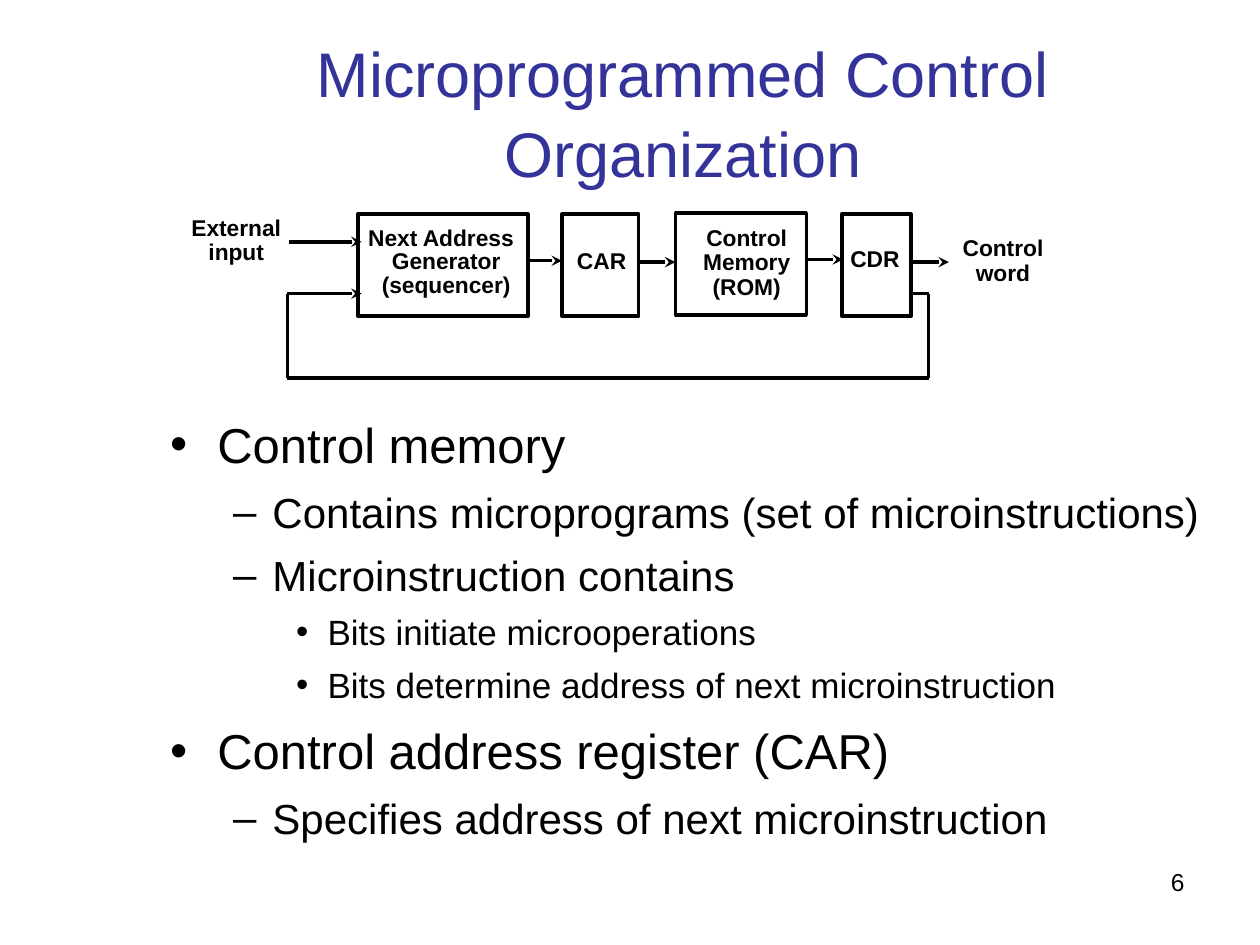
from lxml import etree
from pptx import Presentation
from pptx.dml.color import RGBColor
from pptx.enum.shapes import MSO_CONNECTOR as Connector, MSO_SHAPE as Shape
from pptx.enum.text import MSO_ANCHOR as Anchor, MSO_AUTO_SIZE as AutoSize, PP_ALIGN as Align
from pptx.oxml.ns import qn
from pptx.util import Pt

COLORS = {"ink": "000000", "title": "333399", "paper": "FFFFFF"}
FONT = "Arial"
# Per outline level: size, space before, left margin, hanging indent, bullet
LEVELS = [(28, 7, 27, 27, "•"), (24, 6, 58.5, 22.5, "–"), (20, 5, 90, 18, "•")]

OUTLINE = [
    (0, "Control memory"),
    (1, "Contains microprograms (set of microinstructions)"),
    (1, "Microinstruction contains"),
    (2, "Bits initiate microoperations"),
    (2, "Bits determine address of next microinstruction"),
    (0, "Control address register (CAR)"),
    (1, "Specifies address of next microinstruction"),
]
BLOCKS = [  # left, top, width, height
    (204.5, 122.4, 97.2, 58.3),
    (321.1, 122.4, 43.9, 58.3),
    (385.9, 121.7, 74.9, 58.3),
    (481, 122.4, 39.6, 58.3),
]
LABELS = [  # left, top, width, height, alignment, lines
    (102.2, 120.2, 65.5, 35.3, Align.CENTER, ["External", "input"]),
    (203, 126, 97.9, 20.9, Align.CENTER, ["Next Address"]),
    (211, 139, 87.8, 35.3, Align.CENTER, ["Generator", "(sequencer)"]),
    (322.6, 139, 42.5, 20.9, Align.LEFT, ["CAR"]),
    (394.6, 126, 64.1, 49, Align.CENTER, ["Control", "Memory", "(ROM)"]),
    (478.8, 138.2, 42.5, 20.9, Align.LEFT, ["CDR"]),
    (542.9, 131.8, 60.5, 35.3, Align.CENTER, ["Control", "word"]),
]
LOOP_LEFT, LOOP_RIGHT, LOOP_TOP, LOOP_BOTTOM = 164.2, 530.6, 167.8, 216
ARROWS = [  # from x, to x, y
    (164.9, 206.6, 138.2),
    (LOOP_LEFT, 206.6, LOOP_TOP),
    (301.7, 321.1, 149),
    (365, 385.9, 149.8),
    (460.8, 481.7, 148.3),
    (520.6, 542.2, 149.8),
]
LOOP_SIDES = [  # from x, from y, to x, to y, width
    (520.6, LOOP_TOP, LOOP_RIGHT, LOOP_TOP, 1.5),
    (LOOP_RIGHT, LOOP_TOP, LOOP_RIGHT, LOOP_BOTTOM, 1.5),
    (LOOP_LEFT, LOOP_BOTTOM, LOOP_RIGHT, LOOP_BOTTOM, 2),
    (LOOP_LEFT, LOOP_TOP, LOOP_LEFT, LOOP_BOTTOM, 1.5),
]


def rgb(key):
    """Return the named colour."""
    return RGBColor.from_string(COLORS[key])


def place(shape, left, top, width, height):
    """Move and size a shape, in points."""
    shape.left, shape.top = Pt(left), Pt(top)
    shape.width, shape.height = Pt(width), Pt(height)


def add_run(paragraph, text, size, color="ink", bold=False):
    """Append a formatted run."""
    run = paragraph.add_run()
    run.text = text
    font = run.font
    font.name, font.size, font.bold = FONT, Pt(size), bold
    font.color.rgb = rgb(color)


def next_paragraph(frame, index):
    """Return the first paragraph, or a new one after it."""
    return frame.add_paragraph() if index else frame.paragraphs[0]


def fill_title(title, text):
    """Place and write the slide title."""
    place(title, 84.2, 18, 612, 90)
    frame = title.text_frame
    frame.auto_size = AutoSize.NONE
    frame.vertical_anchor = Anchor.MIDDLE
    paragraph = frame.paragraphs[0]
    paragraph.alignment, paragraph.line_spacing = Align.CENTER, 1.06
    add_run(paragraph, text, 36, "title")


def set_bullet(paragraph, margin, hanging, mark):
    """Give a paragraph its bullet and hanging indent."""
    props = paragraph._p.get_or_add_pPr()
    props.set("marL", str(Pt(margin)))
    props.set("indent", str(-Pt(hanging)))
    color = etree.SubElement(props, qn("a:buClr"))
    etree.SubElement(color, qn("a:srgbClr")).set("val", COLORS["ink"])
    etree.SubElement(props, qn("a:buFont")).set("typeface", FONT)
    etree.SubElement(props, qn("a:buChar")).set("char", mark)


def fill_outline(body, items):
    """Write the bulleted list, leaving room for the diagram above it."""
    place(body, 90, 156.2, 612, 329.8)
    frame = body.text_frame
    frame.auto_size = AutoSize.NONE
    frame.vertical_anchor = Anchor.TOP
    frame.margin_top = Pt(79)
    for index, (level, text) in enumerate(items):
        size, before, margin, hanging, mark = LEVELS[level]
        paragraph = next_paragraph(frame, index)
        paragraph.level = level
        paragraph.line_spacing, paragraph.space_before = 1.05, Pt(before)
        set_bullet(paragraph, margin, hanging, mark)
        add_run(paragraph, text, size)


def add_block(shapes, box):
    """Draw one outlined unit of the diagram."""
    block = shapes.add_shape(Shape.RECTANGLE, *map(Pt, box))
    block.shadow.inherit = False
    block.fill.solid()
    block.fill.fore_color.rgb = rgb("paper")
    block.line.color.rgb = rgb("ink")
    block.line.width = Pt(2)


def add_label(shapes, box, align, lines, size=13, bold=True, spacing=0.9, wrap=False):
    """Write a text box, one paragraph per line."""
    frame = shapes.add_textbox(*map(Pt, box)).text_frame
    frame.word_wrap = wrap
    for index, text in enumerate(lines):
        paragraph = next_paragraph(frame, index)
        paragraph.alignment, paragraph.line_spacing = align, spacing
        add_run(paragraph, text, size, bold=bold)


def add_wire(shapes, x1, y1, x2, y2, width=2, arrow=False):
    """Draw a signal line, with an arrowhead at its end if asked."""
    wire = shapes.add_connector(Connector.STRAIGHT, Pt(x1), Pt(y1), Pt(x2), Pt(y2))
    wire.line.color.rgb = rgb("ink")
    wire.line.width = Pt(width)
    if arrow:
        etree.SubElement(wire.line._get_or_add_ln(), qn("a:tailEnd")).set("type", "stealth")
    etree.SubElement(wire._element.spPr, qn("a:effectLst"))


def add_diagram(shapes):
    """Draw the control organization with its feedback loop."""
    for box in BLOCKS:
        add_block(shapes, box)
    for *box, align, lines in LABELS:
        add_label(shapes, box, align, lines)
    for start, end, y in ARROWS:
        add_wire(shapes, start, y, end, y, arrow=True)
    for side in LOOP_SIDES:
        add_wire(shapes, *side)


def main():
    """Build and save the slide."""
    deck = Presentation()
    deck.slide_width, deck.slide_height = Pt(720), Pt(540)
    slide = deck.slides.add_slide(deck.slide_layouts[1])
    fill_title(slide.shapes.title, "Microprogrammed Control Organization")
    fill_outline(slide.placeholders[1], OUTLINE)
    add_diagram(slide.shapes.add_group_shape().shapes)
    add_label(slide.shapes, (516.2, 491.8, 167.8, 37.4), Align.RIGHT, ["6"],
              size=14, bold=False, spacing=1, wrap=True)
    deck.save("out.pptx")


main()
